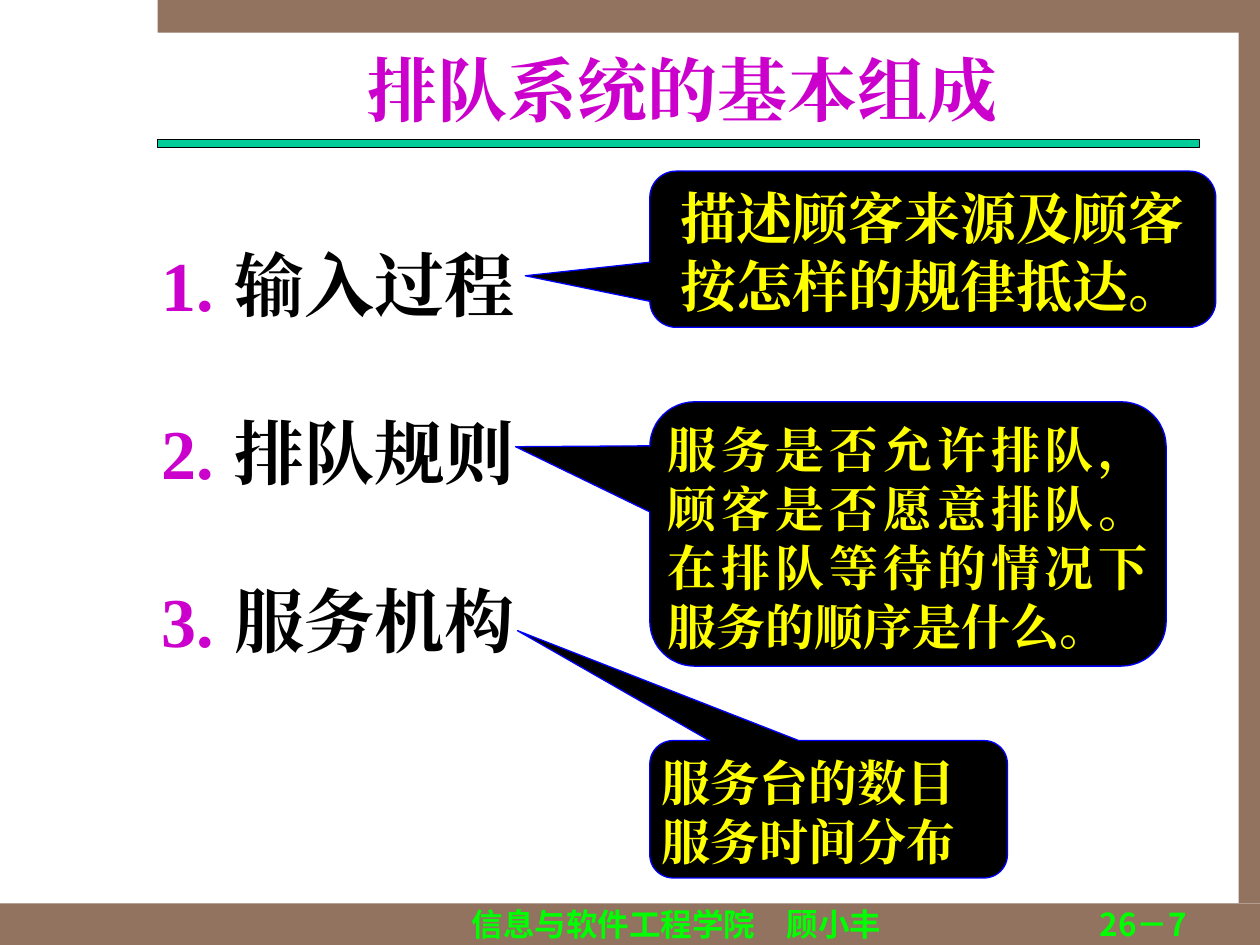
import pptx
import pptx.dml.color
import pptx.enum.shapes
import pptx.enum.text
import pptx.oxml
import pptx.oxml.ns
import pptx.util
from pptx.util import Cm

COLOURS = {
    "frame": "91735F", "rule": "00CC99", "title": "CC00CC", "black": "000000",
    "edge": "0000FF", "note": "FFFF00", "footer": "00FF00",
}
SERIF = "Times New Roman"
SANS = "Noto Sans CJK SC"
ALIGN = pptx.enum.text.PP_ALIGN
ANCHOR = pptx.enum.text.MSO_ANCHOR
SHAPE = pptx.enum.shapes.MSO_SHAPE


def colour(name):
    return pptx.dml.color.RGBColor.from_string(COLOURS[name])


def add_xml(parent, tag, **attributes):
    child = pptx.oxml.parse_xml(f"<a:{tag} {pptx.oxml.ns.nsdecls('a')}/>")
    for key, value in attributes.items():
        child.set(key, value)
    parent.append(child)
    return child


def number_paragraph(para, indent):
    """Give the paragraph a coloured automatic number with a hanging indent."""
    props = para._p.get_or_add_pPr()
    props.set("marL", str(indent))
    props.set("indent", str(-indent))
    add_xml(add_xml(props, "buClr"), "srgbClr", val=COLOURS["title"])
    add_xml(props, "buFont", typeface=SANS)
    add_xml(props, "buAutoNum", type="arabicPeriod")


def write_text(shape, lines, size, ink, font=SERIF, align=ALIGN.LEFT,
               anchor=ANCHOR.TOP, inset=0, spacing=None, number_indent=None):
    frame = shape.text_frame
    frame.word_wrap = True
    frame.vertical_anchor = anchor
    frame.margin_left = frame.margin_right = Cm(inset)
    frame.margin_top = frame.margin_bottom = Cm(inset)
    for index, line in enumerate(lines):
        para = frame.paragraphs[0] if index == 0 else frame.add_paragraph()
        para.alignment = align
        if spacing:
            para.line_spacing = spacing
        if number_indent:
            number_paragraph(para, Cm(number_indent))
        span = para.add_run()
        span.text = line
        span.font.size = pptx.util.Pt(size)
        span.font.bold = True
        span.font.name = font
        span.font.color.rgb = colour(ink)
        add_xml(span._r.get_or_add_rPr(), "ea", typeface=font)


def add_text(page, place, lines, size, ink, **style):
    box = page.shapes.add_textbox(*map(Cm, place))
    write_text(box, lines, size, ink, **style)


def add_filled(page, kind, place, fill, edge=None):
    shape = page.shapes.add_shape(kind, *map(Cm, place))
    shape.shadow.inherit = False
    shape.fill.solid()
    shape.fill.fore_color.rgb = colour(fill)
    if edge:
        shape.line.color.rgb = colour(edge)
        shape.line.width = pptx.util.Pt(0.75)
    else:
        shape.line.fill.background()
    return shape


def add_callout(page, place, tip, lines, size, align):
    """Add a rounded callout whose tip is an offset in shares of its size."""
    callout = add_filled(page, SHAPE.ROUNDED_RECTANGULAR_CALLOUT, place, "black", "edge")
    for index, value in enumerate((*tip, 0.17)):
        callout.adjustments[index] = value
    write_text(callout, lines, size, "note", align=align, inset=0.1)


def add_frame(page):
    for place in ((0, 18.21, 25.4, 0.84), (3.18, 0, 22.22, 0.66), (24.97, 0.64, 0.43, 17.57)):
        add_filled(page, SHAPE.RECTANGLE, place, "frame")
    add_filled(page, SHAPE.RECTANGLE, (3.18, 2.81, 21, 0.16), "rule", "black")


def main():
    deck = pptx.Presentation()
    deck.slide_width, deck.slide_height = Cm(25.4), Cm(19.05)
    page = deck.slides.add_slide(deck.slide_layouts[6])
    add_frame(page)
    add_text(page, (3.38, 0.94, 20.75, 1.7), ["排队系统的基本组成"], 40, "title",
             align=ALIGN.CENTER, anchor=ANCHOR.MIDDLE)
    add_text(page, (3.25, 3.18, 8.26, 10.16), ["输入过程", "排队规则", "服务机构"],
             40, "black", spacing=2.0, number_indent=1.48)

    left = 13.1
    add_callout(page, (left, 3.45, 11.41, 3.15), (-0.72, 0.17),
                ["描述顾客来源及顾客按怎样的规律抵达。"], 32, ALIGN.CENTER)
    add_callout(page, (left, 8.1, 10.41, 5.33), (-0.76, -0.33),
                ["服务是否允许排队，顾客是否愿意排队。在排队等待的情况下服务的顺序是什么。"],
                28, ALIGN.JUSTIFY)
    add_callout(page, (left, 14.93, 7.21, 2.77), (-0.87, -1.3),
                ["服务台的数目", "服务时间分布"], 28, ALIGN.JUSTIFY)

    add_text(page, (7.82, 18.24, 11.63, 0.76), ["信息与软件工程学院　顾小丰"], 18, "footer",
             font=SANS, align=ALIGN.CENTER)
    add_text(page, (19.69, 18.24, 4.24, 0.91), ["26－7"], 18, "footer",
             font=SANS, align=ALIGN.RIGHT)
    deck.save("out.pptx")


if __name__ == "__main__":
    main()
